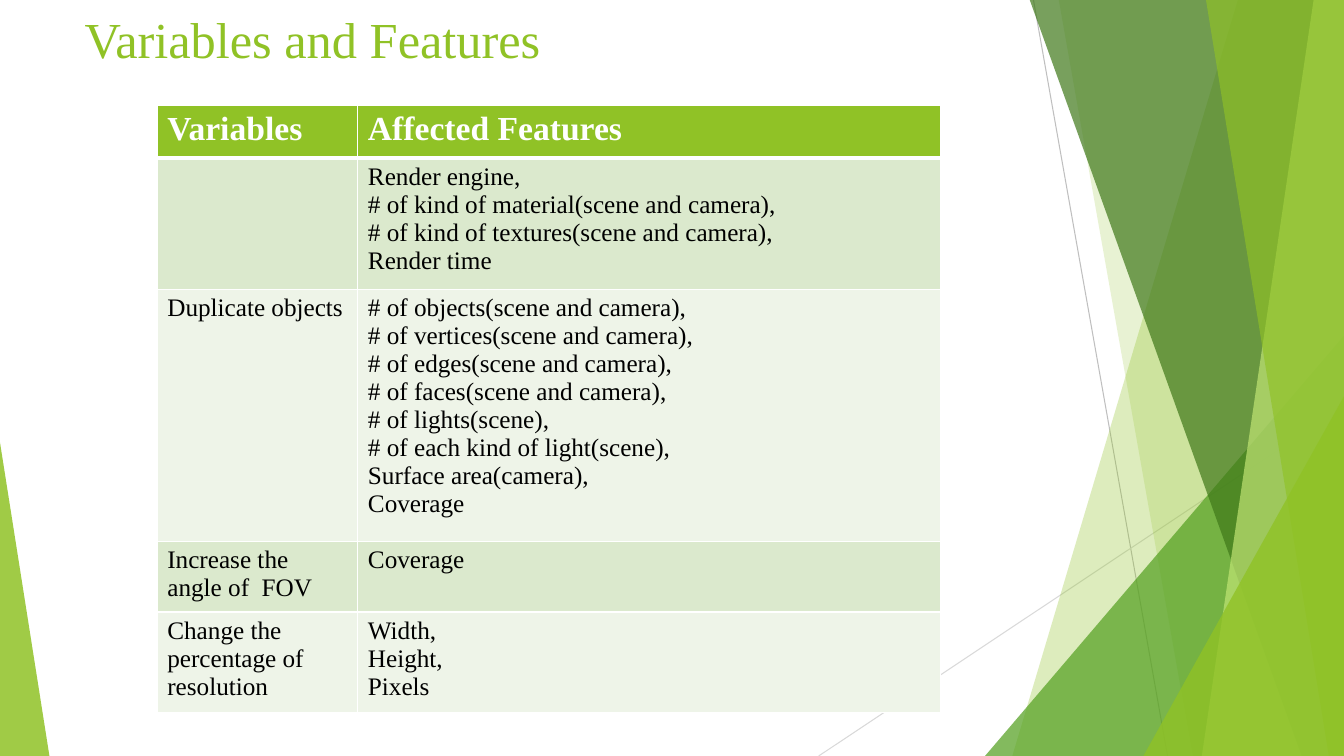
from lxml import etree
from pptx import Presentation
from pptx import util as u
from pptx.dml.color import RGBColor
from pptx.enum import shapes, text
from pptx.oxml import ns

WIDTH, HEIGHT = 13.33, 7.5
TOP = -0.01
FONT = "Times New Roman"
COLORS = {
    "lime": "90C226", "green": "54A021", "forest": "3F7819", "pale": "C0E474",
    "white": "FFFFFF", "black": "000000", "gray": "BFBFBF", "light gray": "D9D9D9",
    "dark band": "DBE9CD", "light band": "EEF4E8",
}

TITLE = "Variables and Features"
HEADER = ("Variables", ["Affected Features"])
ROWS = [
    ("", ["Render engine,", "# of kind of material(scene and camera),",
          "# of kind of textures(scene and camera),", "Render time"]),
    ("Duplicate objects", ["# of objects(scene and camera),", "# of vertices(scene and camera),",
                           "# of edges(scene and camera),", "# of faces(scene and camera),",
                           "# of lights(scene),", "# of each kind of light(scene),",
                           "Surface area(camera),", "Coverage"]),
    ("Increase the angle of  FOV", ["Coverage"]),
    ("Change the percentage of resolution", ["Width,", "Height,", "Pixels"]),
]
COLUMN_WIDTHS = [1.99, 5.78]
ROW_HEIGHTS = [0.52, 1.21, 2.22, 0.69, 0.69]

LINES = [  # start, end, color
    ((10.25, 0), (11.58, HEIGHT), "gray"),
    ((WIDTH, 4.03), (8.12, HEIGHT), "light gray"),
]
# Bands reach the right edge: left x at the top, left x at the bottom, color, opacity.
# Triangles stand on the bottom edge: left, top, width, apex, color, opacity.
FACETS = [
    ("band", (12.28, 10.04), "lime", 30),
    ("band", (10.5, 11.83), "lime", 20),
    ("triangle", (9.77, 3.33, 3.56, 1), "green", 72),
    ("band", (10.21, 12.91), "forest", 70),
    ("band", (13.03, 11.92), "pale", 70),
    ("band", (11.96, 13.18), "lime", 65),
    ("triangle", (11.34, 3.93, 1.99, 1), "lime", 80),
    ("triangle", (0, 4.39, 0.49, 0), "lime", 85),
]


def rgb(name):
    return RGBColor.from_string(COLORS[name])


def add_line(slide, start, end, color):
    line = slide.shapes.add_connector(
        shapes.MSO_CONNECTOR.STRAIGHT, *map(u.Inches, start + end))
    line.line.color.rgb = rgb(color)
    line.line.width = u.Pt(0.75)
    etree.SubElement(line._element.spPr, ns.qn("a:effectLst"))


def add_band(slide, top_x, bottom_x):
    corners = [(top_x, TOP), (WIDTH, TOP), (WIDTH, HEIGHT), (bottom_x, HEIGHT)]
    points = [(u.Inches(x), u.Inches(y)) for x, y in corners]
    builder = slide.shapes.build_freeform(*points[0])
    builder.add_line_segments(points[1:], close=True)
    return builder.convert_to_shape()


def add_triangle(slide, left, top, width, apex):
    triangle = slide.shapes.add_shape(
        shapes.MSO_SHAPE.ISOSCELES_TRIANGLE,
        *map(u.Inches, (left, top, width, HEIGHT - top)))
    triangle.adjustments[0] = apex
    return triangle


def paint(shape, color, opacity):
    shape.shadow.inherit = False
    shape.line.fill.background()
    shape.fill.solid()
    shape.fill.fore_color.rgb = rgb(color)
    color_element = shape._element.spPr.find(ns.qn("a:solidFill"))[0]
    etree.SubElement(color_element, ns.qn("a:alpha"), val=str(opacity * 1000))


def write(frame, lines, size, color, bold=False):
    frame.text = "\n".join(lines)
    for paragraph in frame.paragraphs:
        for run in paragraph.runs:
            run.font.name = FONT
            run.font.size = u.Pt(size)
            run.font.bold = bold
            run.font.color.rgb = rgb(color)


def add_borders(cell, top, bottom):
    """Give the cell white borders; top and bottom are widths in points."""
    properties = cell._tc.get_or_add_tcPr()
    for side, points in (("L", 1), ("R", 1), ("T", top), ("B", bottom)):
        border = etree.SubElement(properties, ns.qn("a:ln" + side), w=str(u.Pt(points)))
        fill = etree.SubElement(border, ns.qn("a:solidFill"))
        etree.SubElement(fill, ns.qn("a:srgbClr"), val=COLORS["white"])


def add_feature_table(slide):
    rows = [HEADER] + ROWS
    table = slide.shapes.add_table(
        len(rows), len(COLUMN_WIDTHS), u.Inches(1.56), u.Inches(1.05),
        u.Inches(sum(COLUMN_WIDTHS)), u.Inches(sum(ROW_HEIGHTS))).table
    table.horz_banding = False
    for column, width in zip(table.columns, COLUMN_WIDTHS):
        column.width = u.Inches(width)
    for index, (variable, features) in enumerate(rows):
        table.rows[index].height = u.Inches(ROW_HEIGHTS[index])
        is_header = index == 0
        band = "lime" if is_header else ("light band", "dark band")[index % 2]
        size, color = (24, "white") if is_header else (18, "black")
        for cell, lines in zip(table.rows[index].cells, ([variable], features)):
            add_borders(cell, 3 if index == 1 else 1, 3 if is_header else 1)
            cell.fill.solid()
            cell.fill.fore_color.rgb = rgb(band)
            write(cell.text_frame, lines, size, color, is_header)


def main():
    presentation = Presentation()
    presentation.slide_width = u.Inches(WIDTH)
    presentation.slide_height = u.Inches(HEIGHT)
    slide = presentation.slides.add_slide(presentation.slide_layouts[6])

    for line in LINES:
        add_line(slide, *line)
    for kind, geometry, color, opacity in FACETS:
        add_facet = add_band if kind == "band" else add_triangle
        paint(add_facet(slide, *geometry), color, opacity)

    title = slide.shapes.add_textbox(*map(u.Inches, (0.74, 0.03, 9.4, 1.44)))
    title.text_frame.word_wrap = True
    title.text_frame.vertical_anchor = text.MSO_ANCHOR.TOP
    write(title.text_frame, [TITLE], 36, "lime")

    add_feature_table(slide)
    presentation.save("out.pptx")


if __name__ == "__main__":
    main()
